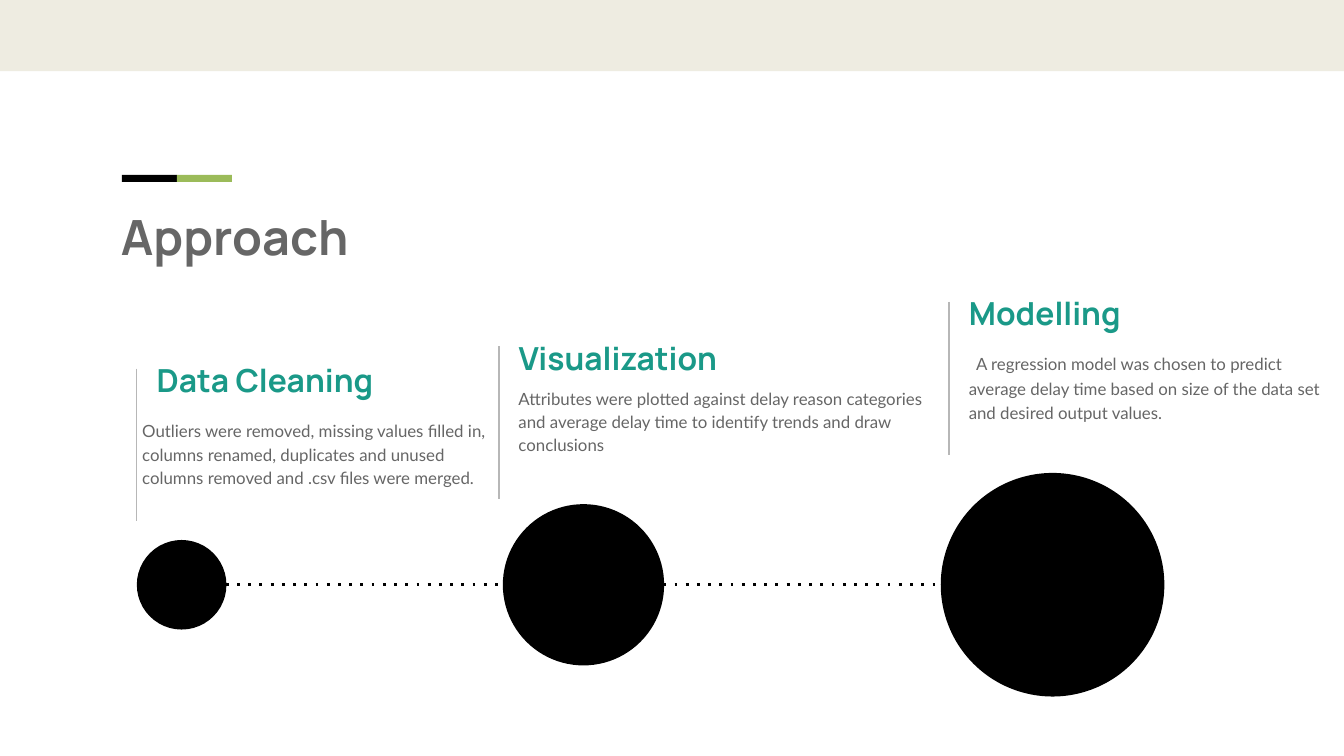
import pptx
import pptx.dml.color
import pptx.enum.shapes
import pptx.enum.text
import pptx.oxml.ns
import pptx.util
from lxml import etree

Pt = pptx.util.Pt
SHAPES = pptx.enum.shapes.MSO_SHAPE
ANCHOR = pptx.enum.text.MSO_ANCHOR


def color(value):
    return pptx.dml.color.RGBColor.from_string(value)


def write(para, text, font="Lato", size=9, ink="666666", bold=False):
    span = para.add_run()
    span.text = text
    span.font.name = font
    span.font.size = Pt(size)
    span.font.bold = bold
    span.font.color.rgb = color(ink)


class Painter:
    gray = "666666"
    teal = "1A9988"
    rule = "B7B7B7"
    black = "000000"
    green = "9BBB59"
    beige = "EEECE1"
    heading_font = "Manrope"

    def __init__(self, page):
        self.page = page

    def place(self, box, left, top, width, height):
        box.left, box.top = Pt(left), Pt(top)
        box.width, box.height = Pt(width), Pt(height)

    def frame(self, box, inset=7.2, anchor=ANCHOR.TOP):
        frame = box.text_frame
        frame.word_wrap = True
        frame.auto_size = pptx.enum.text.MSO_AUTO_SIZE.NONE
        frame.vertical_anchor = anchor
        frame.margin_left = frame.margin_right = Pt(inset)
        frame.margin_top = frame.margin_bottom = Pt(inset)
        para = frame.paragraphs[0]
        para.alignment = pptx.enum.text.PP_ALIGN.LEFT
        return para

    def title(self, text, *bounds):
        box = self.page.shapes.title
        self.place(box, *bounds)
        write(self.frame(box), text, font=self.heading_font, size=26, ink=self.gray, bold=True)

    def text_box(self, left, top, width, height, **layout):
        box = self.page.shapes.add_textbox(Pt(left), Pt(top), Pt(width), Pt(height))
        return self.frame(box, **layout)

    def heading(self, text, *bounds):
        para = self.text_box(*bounds, anchor=ANCHOR.MIDDLE)
        write(para, text, font=self.heading_font, size=17, ink=self.teal, bold=True)

    def body(self, text, bounds, inset, lead):
        para = self.text_box(*bounds, inset=inset)
        para.line_spacing = 1.15
        if lead:
            write(para, lead, font="Arial", size=14, ink=self.black)
        write(para, text)

    def shape(self, kind, fill, left, top, width, height):
        shape = self.page.shapes.add_shape(kind, Pt(left), Pt(top), Pt(width), Pt(height))
        shape.shadow.inherit = False
        shape.fill.solid()
        shape.fill.fore_color.rgb = color(fill)
        shape.line.fill.background()

    def line(self, start, end, ink, width, dash=None):
        points = [Pt(value) for value in (*start, *end)]
        line = self.page.shapes.add_connector(pptx.enum.shapes.MSO_CONNECTOR.STRAIGHT, *points)
        line.line.width = Pt(width)
        line.line.color.rgb = color(ink)
        qn = pptx.oxml.ns.qn
        properties = line._element.spPr
        if dash:
            etree.SubElement(properties.find(qn("a:ln")), qn("a:prstDash")).set("val", dash)
        etree.SubElement(properties, qn("a:effectLst"))


def main():
    deck = pptx.Presentation()
    deck.slide_width, deck.slide_height = Pt(720), Pt(405)
    page = deck.slides.add_slide(deck.slide_layouts[5])
    painter = Painter(page)

    painter.shape(SHAPES.RECTANGLE, painter.beige, 0, 0, 720, 38.2)
    for index, fill in enumerate((painter.black, painter.green)):
        painter.shape(SHAPES.RECTANGLE, fill, 65.3 + index * 29.5, 93.7, 29.5, 3.7)
    painter.title("Approach", 57.6, 103.7, 605.5, 42.5)

    steps = [
        ("Data Cleaning",
         "Outliers were removed, missing values filled in, columns renamed, "
         "duplicates and unused columns removed and .csv files were merged.",
         73.3, 197.5, 190.8, (76.2, 224, 190.8, 48.2), 0, ""),
        ("Visualization",
         "Attributes were plotted against delay reason categories and average "
         "delay time to identify trends and draw conclusions",
         267.3, 185.6, 142.6, (270.7, 199.4, 237.6, 45.4), 7.2, ""),
        ("Modelling",
         "A regression model was chosen to predict average delay time based on "
         "size of the data set and desired output values.",
         508.5, 161.8, 142.6, (511.9, 175, 208.1, 45.4), 7.2, " "),
    ]
    for name, text, left, top, width, bounds, inset, lead in steps:
        painter.line((left, top), (left, top + 81.8), painter.rule, 0.75)
        painter.heading(name, left + 3.5, top - 9.6, width, 31)
        painter.body(text, bounds, inset, lead)

    axis = 313.3
    painter.line((121, axis), (504, axis), painter.black, 1.5, dash="dot")
    for left, size in ((73.3, 48), (269.4, 86.4), (504, 119.8)):
        painter.shape(SHAPES.OVAL, painter.black, left, axis - size / 2, size, size)

    deck.save("out.pptx")


if __name__ == "__main__":
    main()
